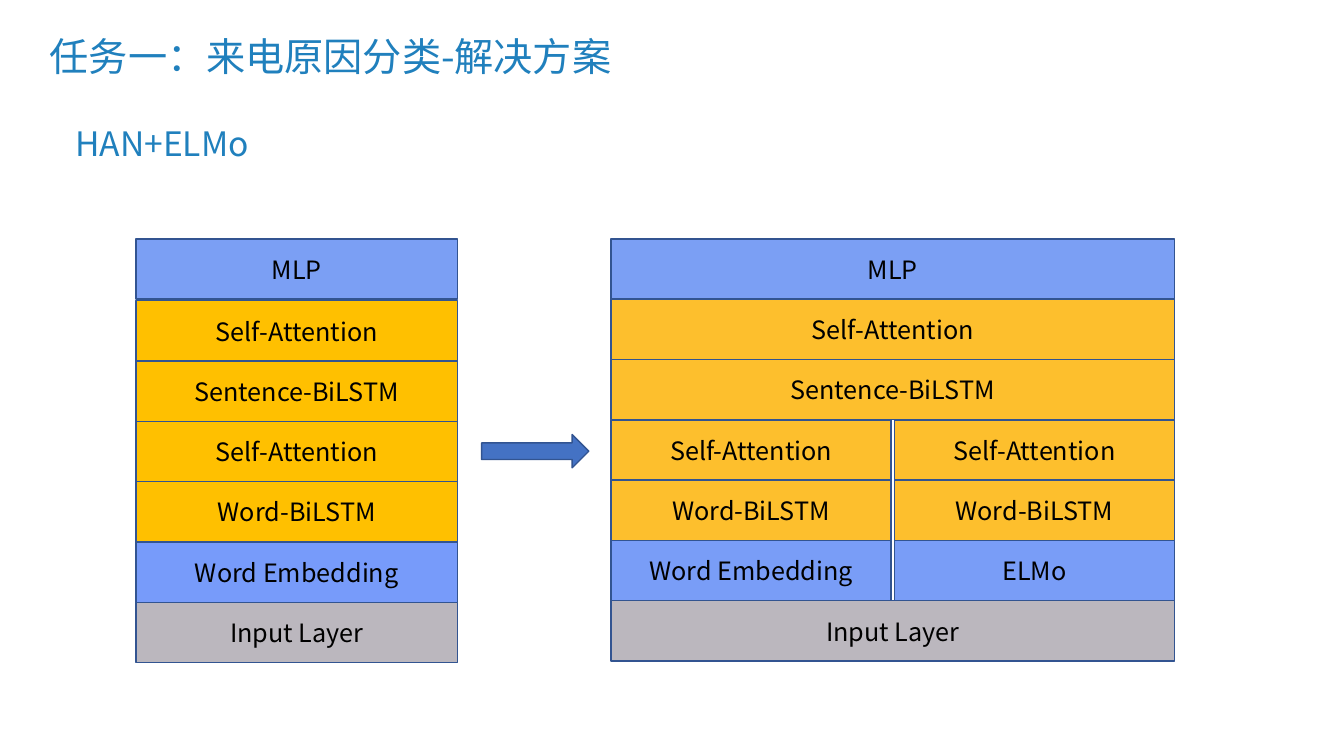
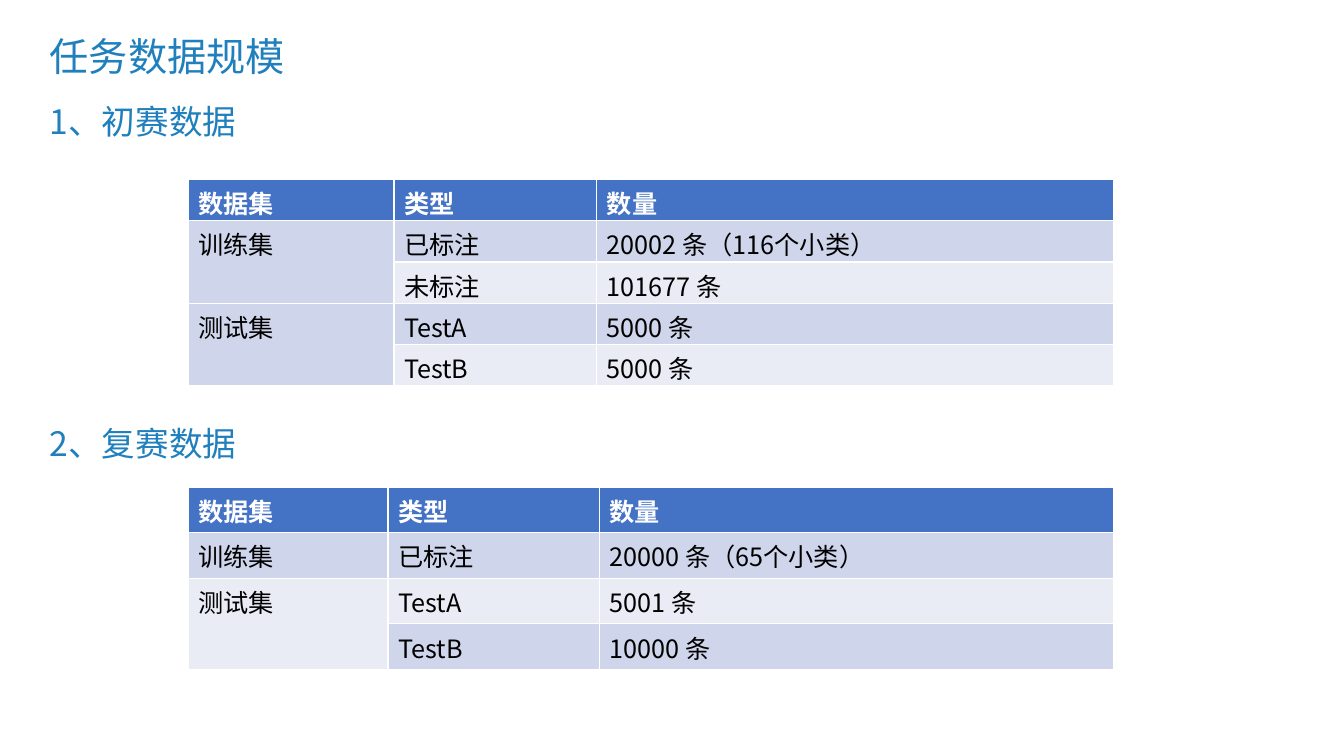
import dataclasses

import lxml.etree
import pptx
import pptx.dml.color
import pptx.enum.shapes
import pptx.enum.text
import pptx.oxml.ns
import pptx.util

Cm = pptx.util.Cm
Pt = pptx.util.Pt
Shape = pptx.enum.shapes.MSO_SHAPE
Align = pptx.enum.text.PP_ALIGN
Anchor = pptx.enum.text.MSO_ANCHOR
Fit = pptx.enum.text.MSO_AUTO_SIZE


@dataclasses.dataclass(frozen=True)
class Theme:
    face: str = "Noto Sans CJK SC"
    title: int = 28
    head: int = 24
    body: int = 18
    accent: str = "2080BD"
    ink: str = "000000"
    white: str = "FFFFFF"
    edge: str = "325491"
    blue: str = "4472C4"
    top: str = "7B9FF4"
    embed: str = "779BFA"
    embed_two: str = "799DF7"
    gold: str = "FFC000"
    amber: str = "FDBF2D"
    grey: str = "BBB7BE"
    bands: tuple = ("CFD5EA", "E9EBF5")


THEME = Theme()
TITLE = {"left": Cm(1), "top": Cm(0.74), "width": Cm(29.2), "height": Cm(1.5)}
TITLE_FRAME = {"auto_size": Fit.NONE, "word_wrap": True,
               "vertical_anchor": Anchor.MIDDLE}
TITLE_LINE = {"alignment": Align.LEFT, "line_spacing": 0.9}
STEP = 1.52
STACK_TOP = 6.02


def put(item, form):
    for key, value in form.items():
        setattr(item, key, value)


def rgb(code):
    return pptx.dml.color.RGBColor.from_string(code)


def paint(item, code):
    item.fill.solid()
    item.fill.fore_color.rgb = rgb(code)


def write(frame, text, size, code, bold=False):
    line = frame.paragraphs[0]
    run = line.add_run()
    run.text = text
    put(run.font, {"name": THEME.face, "size": Pt(size), "bold": bold})
    run.font.color.rgb = rgb(code)
    east = lxml.etree.SubElement(run.font._element, pptx.oxml.ns.qn("a:ea"))
    east.set("typeface", THEME.face)
    return line


def add_slide(deck, title):
    slide = deck.slides.add_slide(deck.slide_layouts[5])
    holder = slide.shapes.title
    put(holder, TITLE)
    put(holder.text_frame, TITLE_FRAME)
    put(write(holder.text_frame, title, THEME.title, THEME.accent), TITLE_LINE)
    return slide


def add_head(slide, text, left, top, width):
    box = slide.shapes.add_textbox(Cm(left), Cm(top), Cm(width), Cm(1.28))
    box.text_frame.word_wrap = True
    write(box.text_frame, text, THEME.head, THEME.accent)


def add_shape(slide, kind, left, top, width, height, code):
    shape = slide.shapes.add_shape(kind, Cm(left), Cm(top), Cm(width), Cm(height))
    shape.shadow.inherit = False
    paint(shape, code)
    shape.line.color.rgb = rgb(THEME.edge)
    shape.line.width = Pt(1)
    return shape


def add_block(slide, text, left, top, width, code):
    block = add_shape(slide, Shape.RECTANGLE, left, top, width, STEP, code)
    block.text_frame.vertical_anchor = Anchor.MIDDLE
    write(block.text_frame, text, THEME.body, THEME.ink).alignment = Align.CENTER


def add_stack(slide, left, top, width, layers, gap=0.08):
    for row, (names, code) in enumerate(layers):
        part = (width - gap * (len(names) - 1)) / len(names)
        for col, name in enumerate(names):
            add_block(slide, name, left + col * (part + gap),
                      top + row * STEP, part, code)


def add_grid(slide, top, widths, height, rows):
    frame = slide.shapes.add_table(len(rows), len(widths), Cm(4.75), Cm(top),
                                   Cm(sum(widths)), Cm(height * len(rows)))
    table = frame.table
    for col, width in zip(table.columns, widths):
        col.width = Cm(width)
    for row, words in enumerate(rows):
        table.rows[row].height = Cm(height)
        head = row == 0
        for col, word in enumerate(words):
            cell = table.cell(row, col)
            paint(cell, THEME.blue if head else THEME.bands[(row - 1) % 2])
            if word:
                write(cell.text_frame, word, THEME.body,
                      THEME.white if head else THEME.ink, head)
            else:
                table.cell(row - 1, col).merge(cell)


def build_model(deck):
    slide = add_slide(deck, "任务一：来电原因分类-解决方案")
    add_head(slide, "HAN+ELMo", 1.65, 2.97, 5.4)
    add_block(slide, "MLP", 3.43, STACK_TOP, 8.1, THEME.top)
    add_stack(slide, 3.43, 7.58, 8.1, [
        (["Self-Attention"], THEME.gold),
        (["Sentence-BiLSTM"], THEME.gold),
        (["Self-Attention"], THEME.gold),
        (["Word-BiLSTM"], THEME.gold),
        (["Word Embedding"], THEME.embed),
        (["Input Layer"], THEME.grey),
    ])
    add_shape(slide, Shape.RIGHT_ARROW, 12.14, 10.95, 2.7, 0.84, THEME.blue)
    add_stack(slide, 15.4, STACK_TOP, 14.2, [
        (["MLP"], THEME.top),
        (["Self-Attention"], THEME.amber),
        (["Sentence-BiLSTM"], THEME.amber),
        (["Self-Attention"] * 2, THEME.amber),
        (["Word-BiLSTM"] * 2, THEME.amber),
        (["Word Embedding", "ELMo"], THEME.embed_two),
        (["Input Layer"], THEME.grey),
    ])


def build_data(deck):
    slide = add_slide(deck, "任务数据规模")
    heads = ["数据集", "类型", "数量"]
    add_head(slide, "1、初赛数据", 1, 2.41, 5.28)
    add_head(slide, "2、复赛数据", 1, 10.52, 5.28)
    add_grid(slide, 4.52, [5.18, 5.11, 13.03], 1.04, [
        heads,
        ["训练集", "已标注", "20002 条（116个小类）"],
        ["", "未标注", "101677 条"],
        ["测试集", "TestA", "5000 条"],
        ["", "TestB", "5000 条"],
    ])
    add_grid(slide, 12.27, [5.03, 5.33, 12.95], 1.15, [
        heads,
        ["训练集", "已标注", "20000 条（65个小类）"],
        ["测试集", "TestA", "5001 条"],
        ["", "TestB", "10000 条"],
    ])


def main():
    deck = pptx.Presentation()
    put(deck, {"slide_width": Cm(33.87), "slide_height": Cm(19.05)})
    build_model(deck)
    build_data(deck)
    deck.save("out.pptx")


if __name__ == "__main__":
    main()
